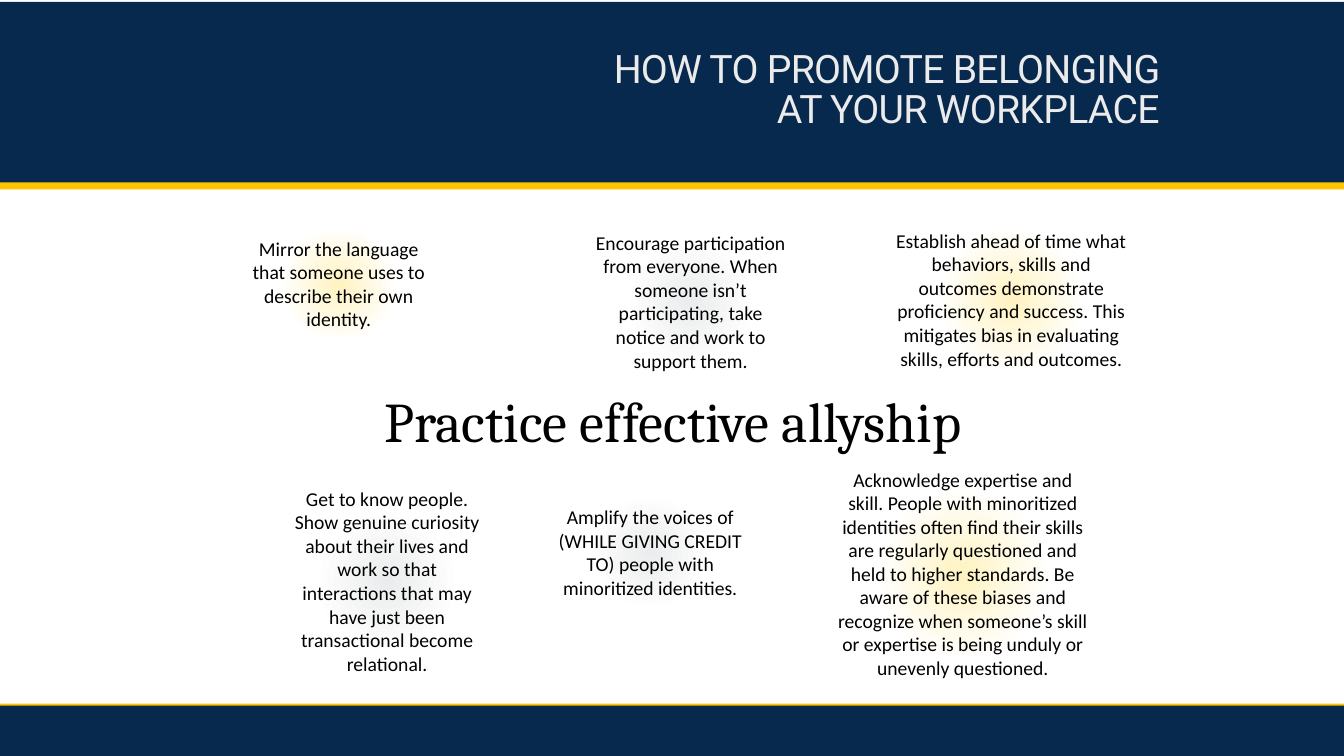
from pptx import Presentation
from pptx.dml.color import RGBColor
from pptx.enum.shapes import MSO_SHAPE as Preset
from pptx.enum.text import MSO_ANCHOR as Anchor, MSO_AUTO_SIZE as AutoSize, PP_ALIGN as Align
from pptx.oxml import parse_xml
from pptx.oxml.ns import nsdecls, qn
from pptx.util import Inches, Pt

NAVY = RGBColor(0x07, 0x29, 0x4D)
GOLD = RGBColor(0xFF, 0xC6, 0x00)
PALE_GOLD = RGBColor(0xFF, 0xF3, 0xC1)
PALE_GRAY = RGBColor(0xEA, 0xEC, 0xED)
LIGHT = RGBColor(0xEB, 0xEB, 0xEB)
BLACK = RGBColor(0, 0, 0)
WHITE = RGBColor(0xFF, 0xFF, 0xFF)

SLIDE_WIDTH = 13.33
BANDS = [
    (6.98, 0.07, GOLD),
    (0.02, 1.83, NAVY),
    (7, 0.5, NAVY),
    (1.81, 0.07, GOLD),
]
TIPS = [
    (2.3, 2.3, 2.12, 1.04, PALE_GOLD,
     "Mirror the language that someone uses to describe their own identity."),
    (2.78, 4.78, 2.12, 1.99, PALE_GRAY,
     "Get to know people. Show genuine curiosity about their lives and work so that "
     "interactions that may have just been transactional become relational."),
    (5.79, 2.24, 2.12, 1.51, PALE_GRAY,
     "Encourage participation from everyone. When someone isn’t participating, "
     "take notice and work to support them."),
    (8.21, 4.59, 2.68, 2.22, PALE_GOLD,
     "Acknowledge expertise and skill. People with minoritized identities often find "
     "their skills are regularly questioned and held to higher standards. Be aware of "
     "these biases and recognize when someone’s skill or expertise is being unduly or "
     "unevenly questioned."),
    (8.77, 2.22, 2.52, 1.51, PALE_GOLD,
     "Establish ahead of time what behaviors, skills and outcomes demonstrate "
     "proficiency and success. This mitigates bias in evaluating skills, efforts "
     "and outcomes."),
    (5.39, 4.96, 2.12, 1.04, PALE_GRAY,
     "Amplify the voices of (WHILE GIVING CREDIT TO) people with minoritized identities."),
]


def add_rectangle(slide, left, top, width, height, color):
    shape = slide.shapes.add_shape(
        Preset.RECTANGLE, Inches(left), Inches(top), Inches(width), Inches(height))
    shape.shadow.inherit = False
    shape.fill.solid()
    shape.fill.fore_color.rgb = color
    shape.line.fill.background()
    return shape


def write_text(shape, text, font_name, size, color, align=Align.CENTER, anchor=Anchor.TOP):
    frame = shape.text_frame
    frame.word_wrap = True
    frame.vertical_anchor = anchor
    paragraph = frame.paragraphs[0]
    paragraph.alignment = align
    run = paragraph.add_run()
    run.text = text
    run.font.name = font_name
    run.font.size = Pt(size)
    run.font.color.rgb = color
    return paragraph


def set_glow(shape, color):
    shape.fill.gradient()
    properties = shape.element.spPr
    glow = parse_xml(
        f'<a:gradFill {nsdecls("a")} rotWithShape="1"><a:gsLst>'
        f'<a:gs pos="0"><a:srgbClr val="{color}"/></a:gs>'
        f'<a:gs pos="50000"><a:srgbClr val="{WHITE}"/></a:gs>'
        '</a:gsLst><a:path path="circle">'
        '<a:fillToRect l="50000" t="50000" r="50000" b="50000"/>'
        '</a:path></a:gradFill>')
    properties.replace(properties.find(qn("a:gradFill")), glow)


def add_title(slide):
    shape = add_rectangle(slide, 5.47, 0.04, 6.13, 1.73, NAVY)
    paragraph = write_text(shape, "HOW TO PROMOTE BELONGING AT YOUR WORKPLACE",
                           "Roboto", 28, LIGHT, Align.RIGHT, Anchor.MIDDLE)
    paragraph.line_spacing = 0.85
    paragraph.runs[0].font._element.set("spc", "-50")


def add_heading(slide):
    shape = slide.shapes.add_textbox(Inches(2.31), Inches(3.79), Inches(8.73), Inches(0.77))
    write_text(shape, "Practice effective allyship", "Cambria", 40, BLACK)
    shape.text_frame.auto_size = AutoSize.SHAPE_TO_FIT_TEXT


def add_tip(slide, left, top, width, height, color, text):
    shape = add_rectangle(slide, left, top, width, height, color)
    set_glow(shape, color)
    write_text(shape, text, "Calibri", 14, BLACK)
    shape.text_frame.auto_size = AutoSize.SHAPE_TO_FIT_TEXT


def main():
    presentation = Presentation()
    presentation.slide_width = Inches(SLIDE_WIDTH)
    presentation.slide_height = Inches(7.5)
    slide = presentation.slides.add_slide(presentation.slide_layouts[6])
    for top, height, color in BANDS:
        add_rectangle(slide, 0, top, SLIDE_WIDTH, height, color)
    add_title(slide)
    add_heading(slide)
    for tip in TIPS:
        add_tip(slide, *tip)
    presentation.save("out.pptx")


if __name__ == "__main__":
    main()
